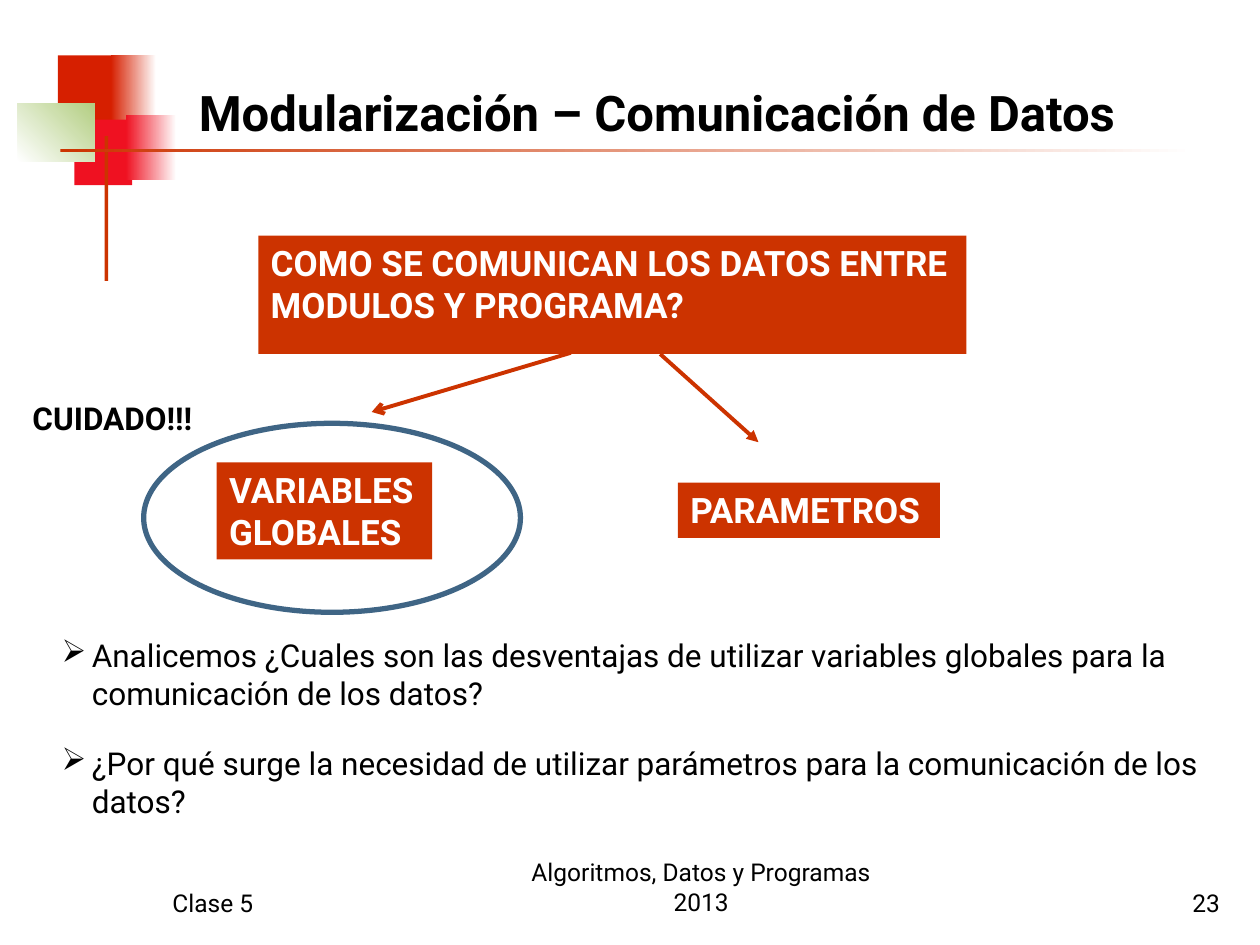
from lxml import etree
from pptx import Presentation
from pptx.dml.color import RGBColor
from pptx.enum import shapes, text
from pptx.oxml import ns
from pptx.util import Inches, Pt

FONT = "Roboto"
BLACK = RGBColor(0, 0, 0)
WHITE = RGBColor(255, 255, 255)
RUST = RGBColor(0xCC, 0x33, 0x00)
RED = RGBColor(0xD6, 0x1F, 0x00)
CRIMSON = RGBColor(0xEF, 0x11, 0x21)
GREEN = RGBColor(0xB3, 0xCE, 0x82)
BLUE = RGBColor(0x3F, 0x65, 0x85)

TOP, MIDDLE, BOTTOM = text.MSO_ANCHOR.TOP, text.MSO_ANCHOR.MIDDLE, text.MSO_ANCHOR.BOTTOM
LEFT, CENTER, RIGHT = text.PP_ALIGN.LEFT, text.PP_ALIGN.CENTER, text.PP_ALIGN.RIGHT

ORNAMENTS = [
    ((0.46, 0.44, 0.48, 0.52), [RED], 0),
    ((0.88, 0.44, 0.36, 0.52), [RED, WHITE], 0),
    ((0.59, 0.95, 0.46, 0.52), [CRIMSON], 0),
    ((1, 0.91, 0.4, 0.52), [CRIMSON, WHITE], 0),
    ((0.14, 0.82, 0.61, 0.46), [WHITE, GREEN], 45),
    ((0.83, 1.08, 0.03, 1.15), [RUST], 0),
    ((0.48, 1.18, 9, 0.03), [RUST, WHITE], 0),
]
WARNING_RING = (1.14, 3.36, 2.99, 1.5)
TOPICS = [
    ((2.05, 1.87, 5.62, 0.94), ["COMO SE COMUNICAN LOS DATOS ENTRE MODULOS Y PROGRAMA?"], True),
    ((5.38, 3.83, 2.08, 0.44), ["PARAMETROS"], False),
    ((1.72, 3.67, 1.71, 0.77), ["VARIABLES", "GLOBALES"], False),
]
ARROWS = [
    ((5.24, 2.81), (6.02, 3.51), "triangle"),
    ((4.53, 2.8), (2.95, 3.27), "arrow"),
]
QUESTIONS = [
    "Analicemos ¿Cuales son las desventajas de utilizar variables globales para la comunicación de los datos?",
    "¿Por qué surge la necesidad de utilizar parámetros para la comunicación de los datos?",
]
LABELS = [
    ((1.48, 0.25, 8.44, 0.92), "Modularización – Comunicación de Datos", 28, True, LEFT, BOTTOM),
    ((0.16, 3.12, 1.77, 0.4), "CUIDADO!!!", 18, True, LEFT, TOP),
    ((1.27, 6.83, 2.08, 0.5), "Clase 5", 14, False, LEFT, BOTTOM),
    ((3.98, 6.82, 3.17, 0.5), "Algoritmos, Datos y Programas 2013", 14, False, CENTER, BOTTOM),
    ((7.7, 6.83, 2.08, 0.5), "23", 14, False, RIGHT, BOTTOM),
]

prs = Presentation()
prs.slide_width, prs.slide_height = Inches(10), Inches(7.5)
slide = prs.slides.add_slide(prs.slide_layouts[6])


def set_all(target, values):
    for name, value in values.items():
        setattr(target, name, value)


def add_figure(kind, box):
    figure = slide.shapes.add_shape(kind, *map(Inches, box))
    figure.shadow.inherit = False
    return figure


def add_block(box, colors, angle=0):
    block = add_figure(shapes.MSO_SHAPE.RECTANGLE, box)
    block.line.fill.background()
    if len(colors) == 1:
        block.fill.solid()
        block.fill.fore_color.rgb = colors[0]
    else:
        block.fill.gradient()
        block.fill.gradient_angle = angle
        for stop, color in zip(block.fill.gradient_stops, colors):
            stop.color.rgb = color
    return block


def write(holder, lines, size, color, bold=False, align=LEFT, anchor=TOP, wrap=True, bullet=None):
    frame = holder.text_frame
    set_all(frame, {"word_wrap": wrap, "vertical_anchor": anchor})
    for i, line in enumerate(lines):
        paragraph = frame.add_paragraph() if i else frame.paragraphs[0]
        paragraph.alignment = align
        if bullet:
            props = paragraph._p.get_or_add_pPr()
            props.set("marL", str(Inches(0.24)))
            props.set("indent", str(-Inches(0.24)))
            etree.SubElement(props, ns.qn("a:buChar")).set("char", bullet)
        run = paragraph.add_run()
        run.text = line
        set_all(run.font, {"name": FONT, "size": Pt(size), "bold": bold})
        run.font.color.rgb = color


def add_text(box, line, size, **style):
    write(slide.shapes.add_textbox(*map(Inches, box)), [line], size, BLACK, **style)


def add_arrow(start, end, head):
    arrow = slide.shapes.add_connector(
        shapes.MSO_CONNECTOR.STRAIGHT, *map(Inches, start + end))
    arrow.line.color.rgb = RUST
    arrow.line.width = Pt(2.25)
    etree.SubElement(arrow.line._get_or_add_ln(), ns.qn("a:tailEnd")).set("type", head)
    etree.SubElement(arrow._element.spPr, ns.qn("a:effectLst"))


for box, colors, angle in ORNAMENTS:
    add_block(box, colors, angle)

ring = add_figure(shapes.MSO_SHAPE.OVAL, WARNING_RING)
ring.fill.background()
ring.line.color.rgb = BLUE
ring.line.width = Pt(3)

for box, lines, wrap in TOPICS:
    write(add_block(box, [RUST]), lines, 20, WHITE, bold=True, wrap=wrap)

for arrow in ARROWS:
    add_arrow(*arrow)

for i, question in enumerate(QUESTIONS):
    add_text((0.39, 5 + 0.86 * i, 9.22, 0.7), question, 18, bullet="➢")

for box, line, size, bold, align, anchor in LABELS:
    add_text(box, line, size, bold=bold, align=align, anchor=anchor)

prs.save("out.pptx")
